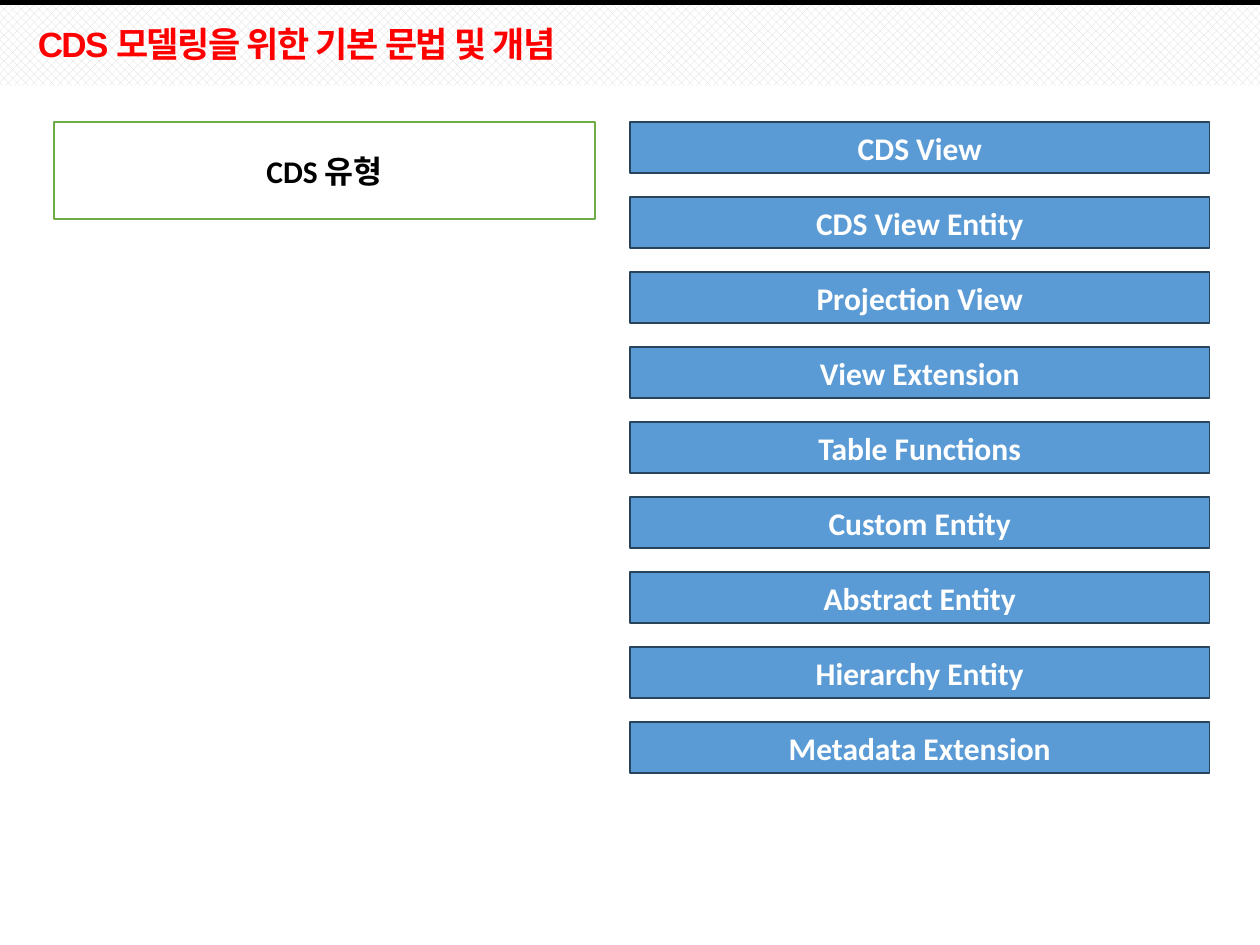
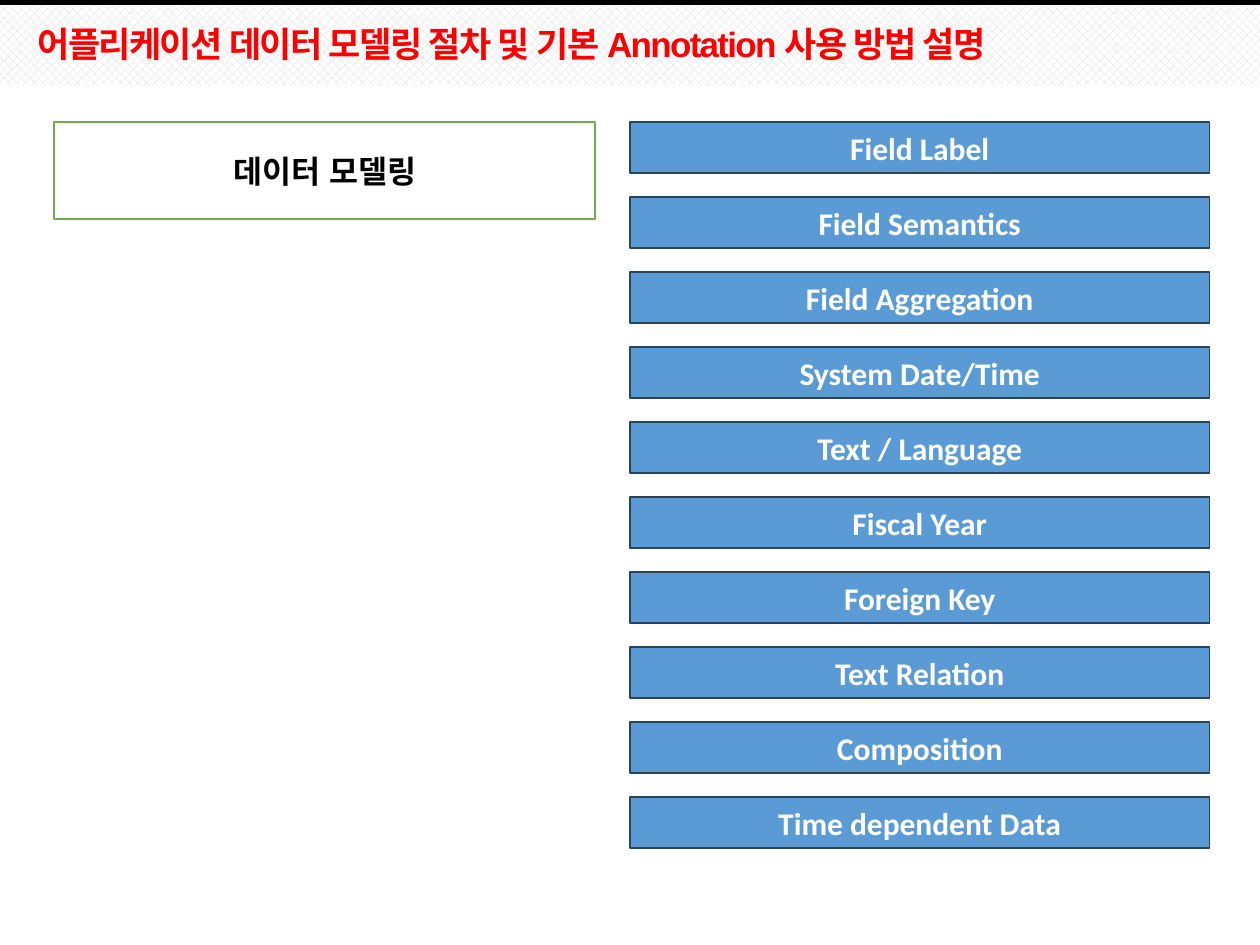
from lxml import etree
from pptx import Presentation
from pptx.dml.color import RGBColor
from pptx.enum.dml import MSO_PATTERN
from pptx.enum.lang import MSO_LANGUAGE_ID
from pptx.enum.shapes import MSO_CONNECTOR, MSO_SHAPE
from pptx.enum.text import MSO_ANCHOR, MSO_AUTO_SIZE, PP_ALIGN
from pptx.oxml.ns import qn
from pptx.util import Pt

# Enum members
RECTANGLE = MSO_SHAPE.RECTANGLE
STRAIGHT = MSO_CONNECTOR.STRAIGHT
HATCH = MSO_PATTERN.PERCENT_50
KOREAN = MSO_LANGUAGE_ID.KOREAN
LEFT, CENTER = PP_ALIGN.LEFT, PP_ALIGN.CENTER
MIDDLE, BOTTOM = MSO_ANCHOR.MIDDLE, MSO_ANCHOR.BOTTOM
NO_AUTOFIT = MSO_AUTO_SIZE.NONE

# Colours
BLACK = RGBColor(0x00, 0x00, 0x00)
WHITE = RGBColor(0xFF, 0xFF, 0xFF)
RED = RGBColor(0xFF, 0x00, 0x00)
GREEN = RGBColor(0x70, 0xAD, 0x47)
BLUE = RGBColor(0x5B, 0x9B, 0xD5)
NAVY = RGBColor(0x28, 0x44, 0x5D)
GREY = RGBColor(0xD9, 0xD9, 0xD9)

# Layout in points
SLIDE_WIDTH, SLIDE_HEIGHT = 720, 540
CONTENT_TOP = 69.85
TOPIC_LEFT, TOPIC_WIDTH, TOPIC_HEIGHT = 31, 309, 55.5
ITEM_LEFT, ITEM_WIDTH, ITEM_HEIGHT, ITEM_PITCH = 360, 331.2, 29, 42.85

# Content: title, topic, items
SLIDES = [
    ("CDS 모델링을 위한 기본 문법 및 개념", "CDS 유형",
     ["CDS View", "CDS View Entity", "Projection View", "View Extension",
      "Table Functions", "Custom Entity", "Abstract Entity",
      "Hierarchy Entity", "Metadata Extension"]),
    ("어플리케이션 데이터 모델링 절차 및 기본 Annotation 사용 방법 설명", "데이터 모델링",
     ["Field Label", "Field Semantics", "Field Aggregation",
      "System Date/Time", "Text / Language", "Fiscal Year", "Foreign Key",
      "Text Relation", "Composition", "Time dependent Data"]),
]


def write_text(frame, text, *, size=18, font="Calibri", color=BLACK,
               align=CENTER, anchor=MIDDLE, line_spacing=None, tracking=None):
    """Fill a text frame with one bold, formatted paragraph."""
    frame.word_wrap = True
    frame.auto_size = NO_AUTOFIT
    frame.vertical_anchor = anchor
    paragraph = frame.paragraphs[0]
    paragraph.alignment = align
    paragraph.line_spacing = line_spacing
    run = paragraph.add_run()
    run.text = text
    run.font.size = Pt(size)
    run.font.name = font
    run.font.bold = True
    run.font.color.rgb = color
    run.font.language_id = KOREAN
    if tracking is not None:
        run.font._element.set("spc", str(tracking * 100))


class Deck:
    """Shared style and the slide being built."""

    def __init__(self):
        self.presentation = Presentation()
        self.presentation.slide_width = Pt(SLIDE_WIDTH)
        self.presentation.slide_height = Pt(SLIDE_HEIGHT)
        self.slide = None

    def start_slide(self, title):
        layout = self.presentation.slide_layouts.get_by_name("Title Only")
        self.slide = self.presentation.slides.add_slide(layout)
        self.header_band()
        self.top_rule()
        self.title(title)

    def rectangle(self, left, top, width, height):
        shape = self.slide.shapes.add_shape(
            RECTANGLE, Pt(left), Pt(top), Pt(width), Pt(height))
        shape.shadow.inherit = False
        return shape

    def header_band(self):
        band = self.rectangle(0, 2.9, SLIDE_WIDTH, 46)
        band.fill.patterned()
        band.fill.pattern = HATCH
        band.fill.fore_color.rgb = GREY
        band.fill.back_color.rgb = WHITE
        band.line.fill.background()

    def top_rule(self):
        rule = self.slide.shapes.add_connector(
            STRAIGHT, Pt(0), Pt(1.5), Pt(SLIDE_WIDTH), Pt(1.5))
        rule.line.color.rgb = BLACK
        rule.line.width = Pt(3)
        etree.SubElement(rule._element.spPr, qn("a:effectLst"))

    def title(self, text):
        title = self.slide.shapes.title
        # Bring the title in front of the header band
        self.slide.shapes._spTree.append(title._element)
        title.left, title.top = Pt(14.4), Pt(7.9)
        title.width, title.height = Pt(676.8), Pt(33.1)
        write_text(title.text_frame, text, size=20, font="Arial", color=RED,
                   align=LEFT, anchor=BOTTOM, line_spacing=0.9, tracking=-1)

    def box(self, text, left, top, width, height, *, fill, border, color):
        box = self.rectangle(left, top, width, height)
        box.fill.solid()
        box.fill.fore_color.rgb = fill
        box.line.color.rgb = border
        box.line.width = Pt(1)
        write_text(box.text_frame, text, color=color)

    def topic(self, text):
        self.box(text, TOPIC_LEFT, CONTENT_TOP, TOPIC_WIDTH, TOPIC_HEIGHT,
                 fill=WHITE, border=GREEN, color=BLACK)

    def items(self, labels):
        for row, label in enumerate(labels):
            self.box(label, ITEM_LEFT, CONTENT_TOP + row * ITEM_PITCH,
                     ITEM_WIDTH, ITEM_HEIGHT,
                     fill=BLUE, border=NAVY, color=WHITE)


def main():
    deck = Deck()
    for title, topic, items in SLIDES:
        deck.start_slide(title)
        deck.topic(topic)
        deck.items(items)
    deck.presentation.save("out.pptx")


if __name__ == "__main__":
    main()
